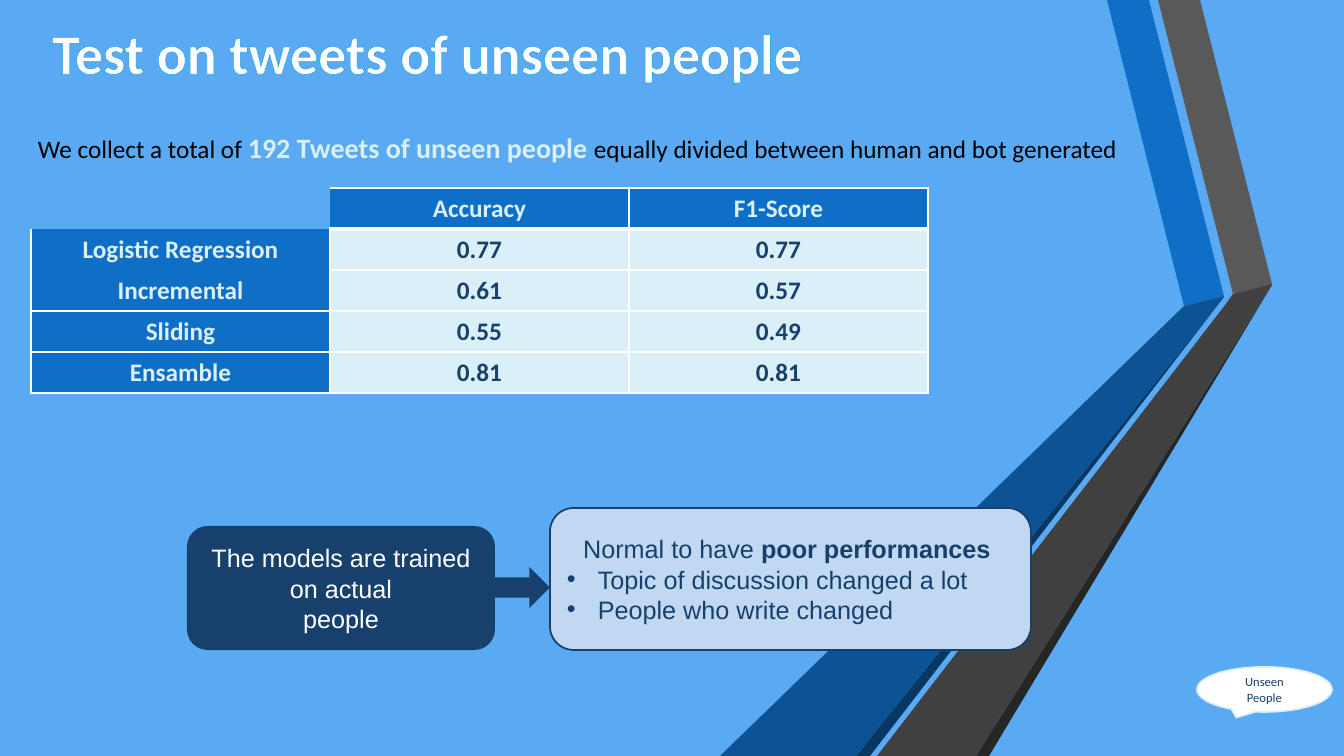
from lxml.etree import SubElement
from pptx import Presentation
from pptx.dml.color import RGBColor
from pptx.enum.shapes import MSO_SHAPE
from pptx.enum.text import MSO_ANCHOR, PP_ALIGN
from pptx.oxml import parse_xml
from pptx.oxml.ns import nsdecls, qn
from pptx.util import Pt

# Content
COLORS = {
    "sky": "59AAF2", "blue": "0F6FC6", "deep": "0B5394", "shade": "083763",
    "gray": "595959", "dark_gray": "404040", "charcoal": "262626",
    "navy": "17406D", "pale": "DBEFF9", "light": "C1D8F2",
    "white": "FFFFFF", "black": "000000", "outline": "009DD9",
}
TITLE = "Test on tweets of unseen people"
SUMMARY = [
    ("We collect a total of ", {}),
    ("192 Tweets of unseen people ", {"size": 20, "color": "pale", "bold": True}),
    ("equally divided between human and bot generated", {}),
]
SCORES = [
    ("", "Accuracy", "F1-Score"),
    ("Logistic Regression", "0.77", "0.77"),
    ("Incremental", "0.61", "0.57"),
    ("Sliding", "0.55", "0.49"),
    ("Ensamble", "0.81", "0.81"),
]
CAUSE = "The models are trained on actual\npeople"
EFFECT = [("Normal to have ", {}), ("poor performances ", {"bold": True})]
REASONS = ["Topic of discussion changed a lot", "People who write changed"]
CALLOUT = "Unseen People"
RIBBONS = [
    ("blue", [(1224, 296), (1184, 306), (1107, 0), (1149, 0)]),
    ("gray", [(1233, 294), (1158, 0), (1200, 0), (1272, 284)]),
    ("charcoal", [(1272, 285), (989, 756), (976, 756)]),
    ("shade", [(856, 756), (1224, 297), (870, 756)]),
    ("deep", [(1224, 296), (1224, 297), (856, 756), (720, 756), (1184, 306)]),
    ("dark_gray", [(877, 756), (1226, 304), (1233, 294), (1272, 284),
                   (1272, 285), (976, 756)]),
]

# Layout in px
SCALE = 914400 / 100.8
PAGE = (1344, 756)
TABLE_LEFT, TABLE_TOP, COLUMN_WIDTH, ROW_HEIGHT = 31, 188, 299, 41
BULLET_INDENT = 31


def emu(*lengths):
    return [round(length * SCALE) for length in lengths]


def rgb(name):
    return RGBColor.from_string(COLORS[name])


def write(para, text, size=18, font="Calibri", color="black", bold=False,
          align=PP_ALIGN.LEFT):
    """Add text to a paragraph; a newline becomes a line break."""
    para.alignment = align
    for number, line in enumerate(text.split("\n")):
        if number:
            para.add_line_break()
        span = para.add_run()
        span.text = line
        span.font.size, span.font.name, span.font.bold = Pt(size), font, bold
        span.font.color.rgb = rgb(color)
    return span


def style(shape, fill, line=None):
    shape.shadow.inherit = False
    shape.fill.solid()
    shape.fill.fore_color.rgb = rgb(fill)
    if line:
        shape.line.color.rgb = rgb(line)
        shape.line.width = Pt(1.25)
    else:
        shape.line.fill.background()


def add_box(kind, place, fill, line=None):
    box = page.shapes.add_shape(kind, *emu(*place))
    style(box, fill, line)
    box.text_frame.word_wrap = True
    box.text_frame.vertical_anchor = MSO_ANCHOR.MIDDLE
    return box


def add_bullet(para):
    (indent,) = emu(BULLET_INDENT)
    properties = para._p.get_or_add_pPr()
    properties.set("marL", str(indent))
    properties.set("indent", str(-indent))
    SubElement(properties, qn("a:buFont")).set("typeface", "Arial")
    SubElement(properties, qn("a:buChar")).set("char", "•")


def set_borders(cell, widths):
    """Draw white borders; a width of 0 leaves that side empty."""
    properties = cell._tc.get_or_add_tcPr()
    for position, (side, width) in enumerate(widths.items()):
        paint = (f'<a:solidFill><a:srgbClr val="{COLORS["white"]}"/></a:solidFill>'
                 if width else "<a:noFill/>")
        properties.insert(position, parse_xml(
            f'<a:ln{side} {nsdecls("a")} w="{Pt(width)}">{paint}</a:ln{side}>'))


def border_widths(row, column):
    widths = {"L": 1, "R": 1, "T": 1, "B": 1}
    if (row, column) == (0, 0):
        return dict.fromkeys(widths, 0)
    if column == 0:
        if row in (1, 2):
            widths["T"] = 0
        if row == 1:
            widths["B"] = 0
    elif row == 0:
        widths["B"] = 3
        if column == 1:
            widths["L"] = 0
    elif row == 1:
        widths["T"] = 3
    return widths


deck = Presentation()
deck.slide_width, deck.slide_height = emu(*PAGE)
page = deck.slides.add_slide(deck.slide_layouts[5])
page.background.fill.solid()
page.background.fill.fore_color.rgb = rgb("sky")

# Ribbons
for color, points in RIBBONS:
    builder = page.shapes.build_freeform(*points[0], scale=SCALE)
    builder.add_line_segments(points[1:], close=True)
    style(builder.convert_to_shape(), color)

# Title
title = page.shapes.title
title.left, title.top, title.width, title.height = emu(42, 13, 1072, 78)
title.text_frame.vertical_anchor = MSO_ANCHOR.TOP
heading = write(title.text_frame.paragraphs[0], TITLE, size=40, color="white", bold=True)
heading.font._element.insert(0, parse_xml(
    f'<a:ln {nsdecls("a")} w="{Pt(0.52)}"><a:solidFill>'
    f'<a:srgbClr val="{COLORS["outline"]}"/></a:solidFill></a:ln>'))

# Summary line
summary = page.shapes.add_textbox(*emu(28, 126, 1292, 44)).text_frame
summary.word_wrap = True
for text, look in SUMMARY:
    write(summary.paragraphs[0], text, **look)

# Score table
rows, columns = len(SCORES), len(SCORES[0])
table = page.shapes.add_table(rows, columns, *emu(
    TABLE_LEFT, TABLE_TOP, columns * COLUMN_WIDTH, rows * ROW_HEIGHT)).table
table.first_row = table.horz_banding = False
for column in table.columns:
    (column.width,) = emu(COLUMN_WIDTH)
for row, values in enumerate(SCORES):
    (table.rows[row].height,) = emu(ROW_HEIGHT)
    for column, value in enumerate(values):
        cell = table.cell(row, column)
        header = row == 0 or column == 0
        if value:
            cell.fill.solid()
            cell.fill.fore_color.rgb = rgb("blue" if header else "pale")
            write(cell.text_frame.paragraphs[0], value, bold=True,
                  color="pale" if header else "navy", align=PP_ALIGN.CENTER)
        else:
            cell.fill.background()
        set_borders(cell, border_widths(row, column))

# Cause, arrow and effect
cause = add_box(MSO_SHAPE.ROUNDED_RECTANGLE, (187, 526, 308, 124), "navy")
write(cause.text_frame.paragraphs[0], CAUSE, font="Arial", color="white",
      align=PP_ALIGN.CENTER)
add_box(MSO_SHAPE.RIGHT_ARROW, (483, 567, 67, 41), "navy")
effect = add_box(MSO_SHAPE.ROUNDED_RECTANGLE, (550, 508, 481, 142), "light", "navy")
for text, look in EFFECT:
    write(effect.text_frame.paragraphs[0], text, font="Arial", color="navy",
          align=PP_ALIGN.CENTER, **look)
for reason in REASONS:
    para = effect.text_frame.add_paragraph()
    write(para, reason, font="Arial", color="navy")
    add_bullet(para)

# Callout
callout = add_box(MSO_SHAPE.OVAL_CALLOUT, (1197, 667, 135, 45), "white", "pale")
write(callout.text_frame.paragraphs[0], CALLOUT, size=9, color="navy",
      align=PP_ALIGN.CENTER)

deck.save("out.pptx")
